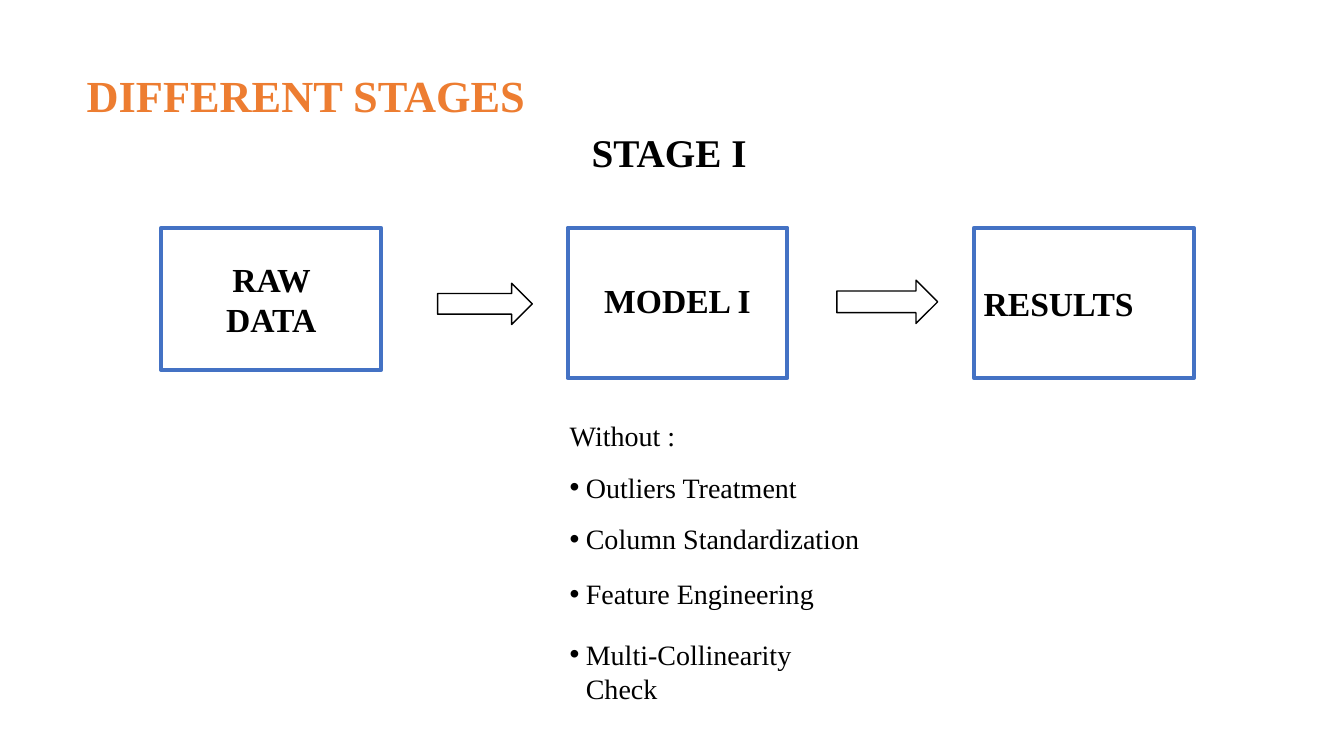
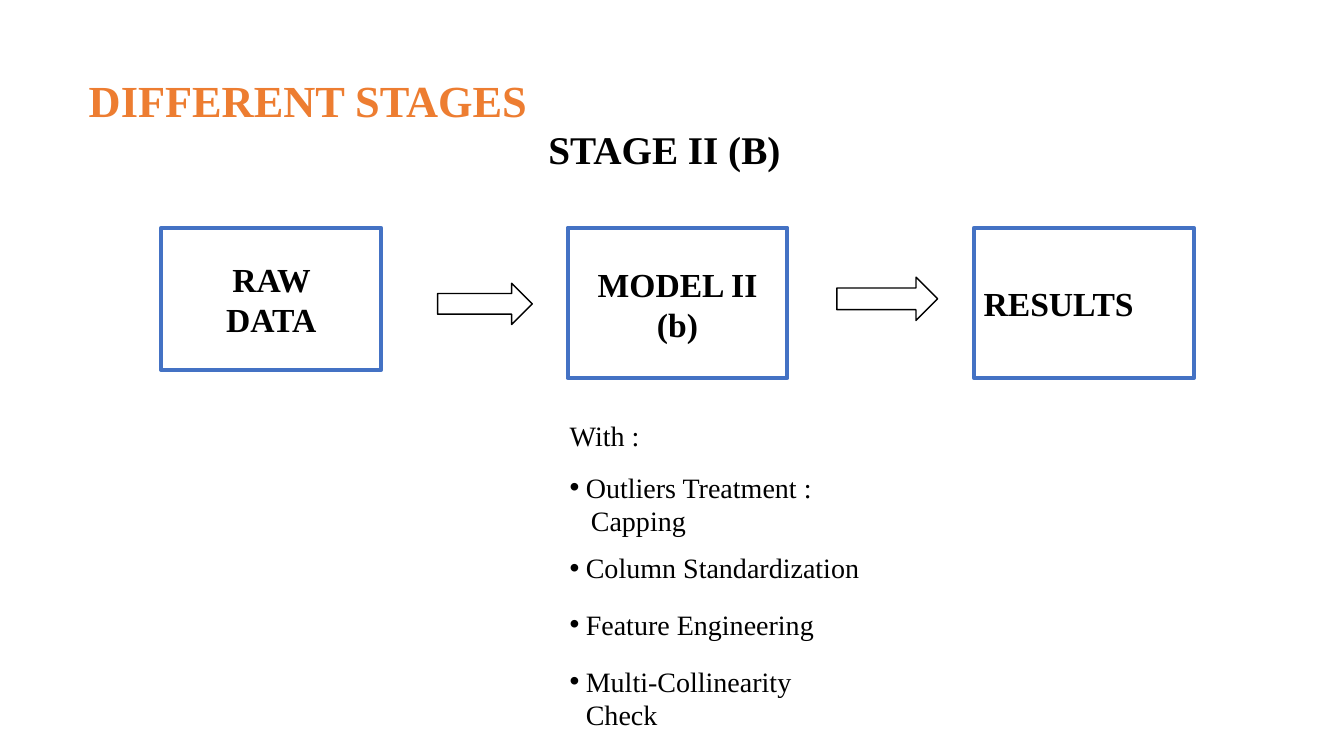
from lxml import etree
from pptx import Presentation
from pptx.dml.color import RGBColor
from pptx.enum import shapes, text
from pptx.oxml.ns import qn
from pptx.util import Inches, Pt

COLORS = {
    "title": "ED7D31",
    "text": "000000",
    "box_line": "4472C4",
    "arrow_line": "000000",
    "fill": "FFFFFF",
}
FONT = "Times New Roman"
TITLE_SIZE, STAGE_SIZE, BOX_SIZE, LIST_SIZE = 31.7, 28, 24, 20

BOX_LEFT, BOX_TOP, BOX_WIDTH, BOX_PITCH = 1.6, 2.26, 2.18, 4.03
BULLET_INDENT = 0.16
CONTINUATION_INDENT = 0.21


def color(name):
    return RGBColor.from_string(COLORS[name])


def format_paragraph(paragraph, size, color_name="text", bold=False):
    for run in paragraph.runs:
        run.font.name = FONT
        run.font.size = Pt(size)
        run.font.bold = bold
        run.font.color.rgb = color(color_name)


def place(shape, left, top, width, height):
    shape.left, shape.top = Inches(left), Inches(top)
    shape.width, shape.height = Inches(width), Inches(height)


def set_frame(frame, anchor, left=0.1, top=0.05, right=0.1, bottom=0.05):
    frame.word_wrap = True
    frame.auto_size = text.MSO_AUTO_SIZE.NONE
    frame.vertical_anchor = anchor
    frame.margin_left, frame.margin_right = Inches(left), Inches(right)
    frame.margin_top, frame.margin_bottom = Inches(top), Inches(bottom)


def set_bullet(paragraph, margin, character=None):
    """Indent a paragraph, hanging it after a bullet if there is one."""
    properties = paragraph._p.get_or_add_pPr()
    properties.set("marL", str(Inches(margin)))
    properties.set("indent", str(-Inches(margin) if character else 0))
    if character:
        font = etree.SubElement(properties, qn("a:buFont"))
        font.set("typeface", "Arial")
        etree.SubElement(properties, qn("a:buChar")).set("char", character)
    else:
        etree.SubElement(properties, qn("a:buNone"))


def add_outlined(slide, preset, box, line_name, line_width):
    shape = slide.shapes.add_shape(preset, *map(Inches, box))
    shape.shadow.inherit = False
    shape.fill.solid()
    shape.fill.fore_color.rgb = color("fill")
    shape.line.color.rgb = color(line_name)
    shape.line.width = Pt(line_width)
    return shape


def add_headings(slide, title_at, stage, stage_at):
    title = slide.shapes.title
    place(title, *title_at, 5, 0.64)
    set_frame(title.text_frame, text.MSO_ANCHOR.TOP)
    title.text_frame.text = "DIFFERENT STAGES"
    paragraph = title.text_frame.paragraphs[0]
    paragraph.alignment = text.PP_ALIGN.LEFT
    format_paragraph(paragraph, TITLE_SIZE, "title", bold=True)

    heading = slide.shapes.add_textbox(*map(Inches, (*stage_at, 2.65, 0.57)))
    set_frame(heading.text_frame, text.MSO_ANCHOR.TOP)
    heading.text_frame.text = stage
    format_paragraph(heading.text_frame.paragraphs[0], STAGE_SIZE, bold=True)


def add_flow(slide, left, top, model, model_margins, second_arrow_top):
    """Three boxes joined by two block arrows."""
    steps = [
        ("RAW DATA", 1.41, {"left": 0.31, "right": 0.31}),
        (model, 1.49, model_margins),
        ("RESULTS", 1.49, {"left": 0, "right": 0.5}),
    ]
    for index, (label, height, margins) in enumerate(steps):
        box = (left + index * BOX_PITCH, top, BOX_WIDTH, height)
        shape = add_outlined(slide, shapes.MSO_SHAPE.RECTANGLE, box, "box_line", 3)
        set_frame(shape.text_frame, text.MSO_ANCHOR.MIDDLE, **margins)
        shape.text_frame.text = label
        paragraph = shape.text_frame.paragraphs[0]
        paragraph.alignment = text.PP_ALIGN.CENTER
        format_paragraph(paragraph, BOX_SIZE, bold=True)

    arrows = [(2.74, 0.55, 0.94, 0.41), (6.7, second_arrow_top, 1, 0.43)]
    for x, y, width, height in arrows:
        box = (left + x, top + y, width, height)
        add_outlined(slide, shapes.MSO_SHAPE.RIGHT_ARROW, box, "arrow_line", 1)


def add_treatments(slide, left, top, intro, items):
    """List of (text, space before, has bullet) items under an intro line."""
    body = slide.placeholders[1]
    place(body, left, top, 3.12, 3.15)
    frame = body.text_frame
    set_frame(frame, text.MSO_ANCHOR.TOP)
    frame.text = "\n".join([intro] + [item[0] for item in items])
    rows = [(intro, 0, None)] + items
    for paragraph, (_, space, bulleted) in zip(frame.paragraphs, rows):
        paragraph.space_before = Pt(space)
        paragraph.space_after = Pt(0)
        paragraph.line_spacing = 1.0
        if bulleted:
            set_bullet(paragraph, BULLET_INDENT, "•")
        else:
            set_bullet(paragraph, CONTINUATION_INDENT if space is not None and paragraph.text != intro else 0)
        format_paragraph(paragraph, LIST_SIZE)


def add_stage_slide(presentation, stage):
    slide = presentation.slides.add_slide(presentation.slide_layouts[1])
    add_headings(slide, stage["title_at"], stage["name"], stage["name_at"])
    add_flow(slide, BOX_LEFT, BOX_TOP, stage["model"], stage["model_margins"],
             stage["second_arrow_top"])
    add_treatments(slide, 5.55, 4.1, stage["intro"], stage["items"])


STAGES = [
    {
        "name": "STAGE I",
        "title_at": (0.76, 0.63),
        "name_at": (5.77, 1.22),
        "model": "MODEL I",
        "model_margins": {"bottom": 0.11},
        "second_arrow_top": 0.52,
        "intro": "Without :",
        "items": [
            ("Outliers Treatment", 13, True),
            ("Column Standardization", 13, True),
            ("Feature Engineering", 15, True),
            ("Multi-Collinearity Check", 19.5, True),
        ],
    },
    {
        "name": "STAGE II (B)",
        "title_at": (0.78, 0.68),
        "name_at": (5.34, 1.19),
        "model": "MODEL II (b)",
        "model_margins": {"left": 0.2, "right": 0.2, "top": 0.07},
        "second_arrow_top": 0.49,
        "intro": "With :",
        "items": [
            ("Outliers Treatment :", 13, True),
            ("Capping", 0, False),
            ("Column Standardization", 9.5, True),
            ("Feature Engineering", 16.5, True),
            ("Multi-Collinearity Check", 16.5, True),
        ],
    },
]


def main():
    presentation = Presentation()
    presentation.slide_width = Inches(13.33)
    presentation.slide_height = Inches(7.5)
    for stage in STAGES:
        add_stage_slide(presentation, stage)
    presentation.save("out.pptx")


if __name__ == "__main__":
    main()
